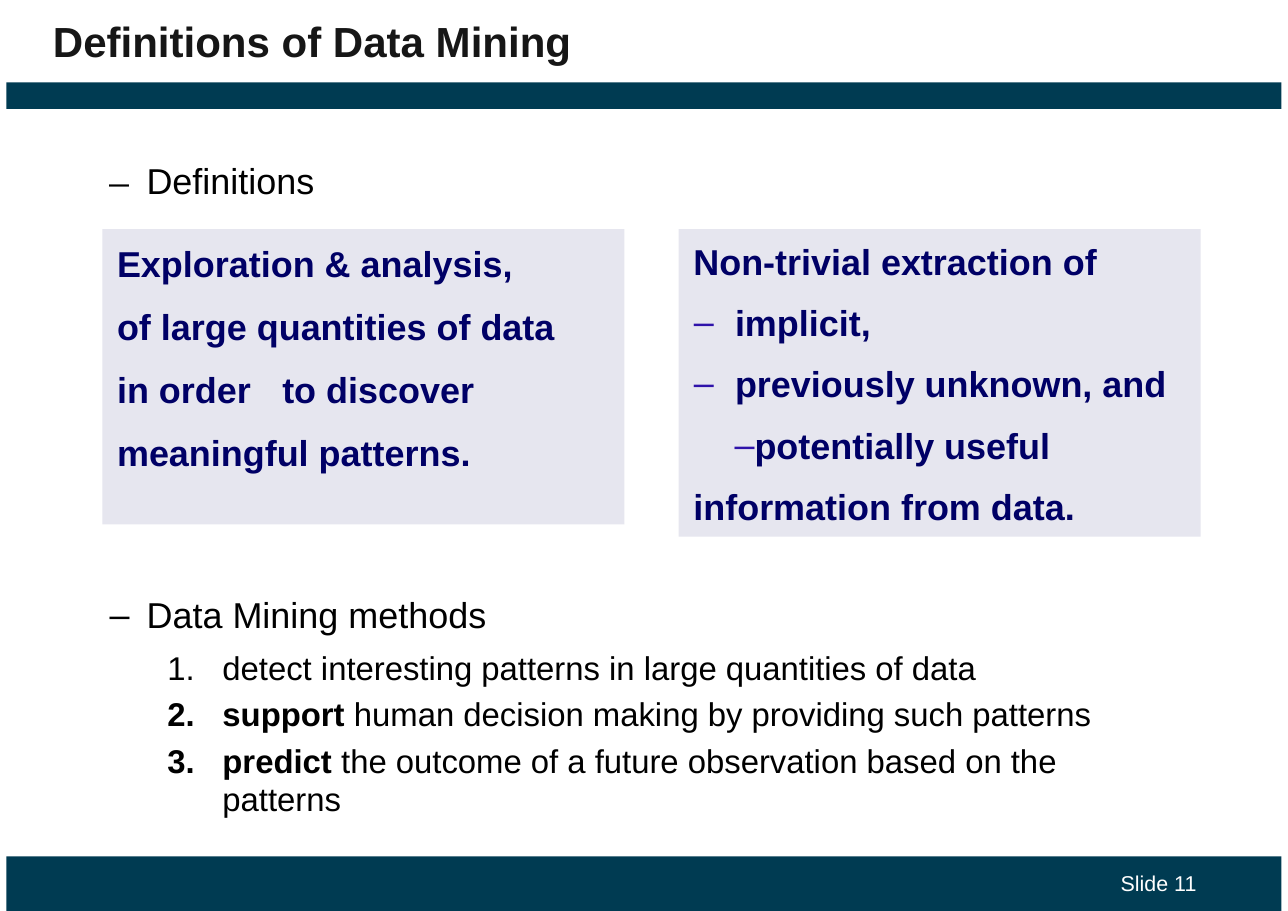
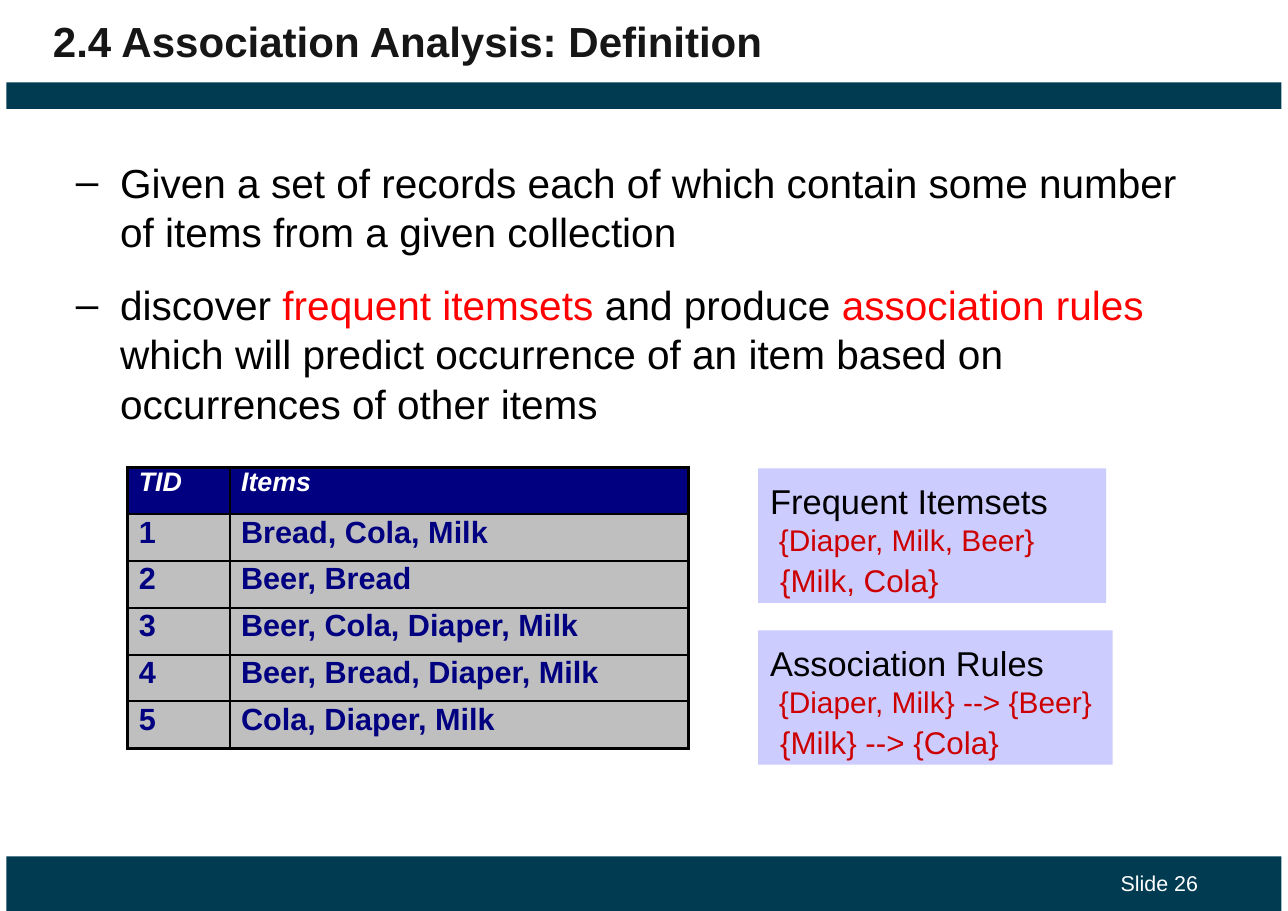
from dataclasses import dataclass, field

from lxml import etree
from pptx import Presentation
from pptx.dml.color import RGBColor
from pptx.enum.shapes import MSO_SHAPE
from pptx.enum.text import MSO_ANCHOR, MSO_AUTO_SIZE, PP_ALIGN
from pptx.oxml.ns import qn
from pptx.util import Cm, Pt

RECTANGLE = MSO_SHAPE.RECTANGLE
TOP = MSO_ANCHOR.TOP
NO_AUTOFIT = MSO_AUTO_SIZE.NONE
LEFT = PP_ALIGN.LEFT

BLACK = RGBColor(0x00, 0x00, 0x00)
WHITE = RGBColor(0xFF, 0xFF, 0xFF)
INK = RGBColor(0x16, 0x16, 0x16)
PETROL = RGBColor(0x00, 0x3B, 0x52)
MIDNIGHT = RGBColor(0x00, 0x00, 0x66)
NAVY = RGBColor(0x00, 0x00, 0x80)
VIOLET = RGBColor(0x2F, 0x13, 0xAA)
RED = RGBColor(0xFF, 0x00, 0x00)
CRIMSON = RGBColor(0xCC, 0x00, 0x00)
PALE_GREY = RGBColor(0xE6, 0xE6, 0xEF)
GREY = RGBColor(0xBF, 0xBF, 0xBF)
LAVENDER = RGBColor(0xCC, 0xCC, 0xFF)

FONT = "Arial"
DASH_FONT = "TeX Gyre Schola"
NUMBERED = "arabicPeriod"
OUTER_LINE = Pt(2.25)
INNER_LINE = Pt(1.5)


@dataclass
class Para:
    """Paragraph content; left, first and tab are lengths in centimetres."""
    spans: list
    left: float = 0
    first: float = 0
    bullet: str = ""
    bullet_font: str = FONT
    bullet_color: RGBColor = None
    tab: float = 0
    layout: dict = field(default_factory=dict)


def style(size, color, **extra):
    return {"name": FONT, "size": Pt(size), "color": color, **extra}


TITLE = style(27.5, INK, bold=True)
FOOTER = style(14, WHITE)
HEADING = style(23.5, BLACK)
ITEM = style(21.5, BLACK, bold=False)
STRONG_ITEM = {**ITEM, "bold": True}
QUOTE = style(23.5, MIDNIGHT, bold=True)
BODY = style(26.5, BLACK)
KEYWORD = {**BODY, "color": RED}
BOX_HEADING = style(22.5, BLACK)
TABLE_HEAD = style(17.5, WHITE, bold=True, italic=True)
TABLE_CELL = style(20, NAVY, bold=True, italic=False)


def set_all(target, values):
    for name, value in values.items():
        setattr(target, name, value)


def add_child(parent, tag, **attributes):
    child = etree.SubElement(parent, qn(tag))
    for name, value in attributes.items():
        child.set(name, str(value))
    return child


def add_bullet_and_tab(properties, para):
    if para.bullet_color is not None:
        color = add_child(properties, "a:buClr")
        add_child(color, "a:srgbClr", val=para.bullet_color)
    if para.bullet == NUMBERED:
        add_child(properties, "a:buAutoNum", type=NUMBERED)
    elif para.bullet:
        add_child(properties, "a:buFont", typeface=para.bullet_font)
        add_child(properties, "a:buChar", char=para.bullet)
    else:
        add_child(properties, "a:buNone")
    if para.tab:
        tabs = add_child(properties, "a:tabLst")
        add_child(tabs, "a:tab", pos=int(Cm(para.tab)), algn="l")


def write(frame, paras):
    for index, para in enumerate(paras):
        paragraph = frame.add_paragraph() if index else frame.paragraphs[0]
        properties = paragraph._p.get_or_add_pPr()
        properties.set("marL", str(int(Cm(para.left))))
        properties.set("indent", str(int(Cm(para.first))))
        add_bullet_and_tab(properties, para)
        set_all(paragraph, {"alignment": LEFT, "space_before": Pt(0),
                            "space_after": Pt(0), "line_spacing": 1.0,
                            **para.layout})
        for text, look in para.spans:
            span = paragraph.add_run()
            span.text = text
            set_all(span.font, {k: v for k, v in look.items() if k != "color"})
            span.font.color.rgb = look["color"]


def fill_frame(box, paras, left=0, top=0, right=0):
    frame = box.text_frame
    set_all(frame, {"word_wrap": True, "auto_size": NO_AUTOFIT,
                    "vertical_anchor": TOP, "margin_left": Cm(left),
                    "margin_top": Cm(top), "margin_right": Cm(right),
                    "margin_bottom": 0})
    write(frame, paras)


def add_panel(page, place, color):
    panel = page.shapes.add_shape(RECTANGLE, *map(Cm, place))
    panel.shadow.inherit = False
    panel.fill.solid()
    panel.fill.fore_color.rgb = color
    panel.line.fill.background()
    return panel


def add_text(page, place, paras, **insets):
    fill_frame(page.shapes.add_textbox(*map(Cm, place)), paras, **insets)


def fill_placeholder(box, place, paras, **insets):
    names = ("left", "top", "width", "height")
    set_all(box, dict(zip(names, map(Cm, place))))
    fill_frame(box, paras, **insets)


def add_page(deck, title, number):
    """Adds a page with the shared bands, title and page number."""
    page = deck.slides.add_slide(deck.slide_layouts[1])
    for top, height in ((19.74, 1.26), (1.9, 0.61)):
        add_panel(page, (0.15, top, 29.4, height), PETROL)
    fill_placeholder(page.shapes.title, (0.84, 0.25, 27.15, 1.4),
                     [Para([(title, TITLE)])], left=0.38, top=0.1)
    add_text(page, (25.81, 20.07, 1.96, 0.64),
             [Para([(f"Slide {number}", FOOTER)],
                   layout={"line_spacing": Pt(16.5)})], left=0.03)
    return page


def dash_heading(text, font=FONT):
    return Para([(text, HEADING)], left=0.89, first=-0.85, bullet="–",
                bullet_font=font)


def method(spans, before, **layout):
    return Para(spans, left=2.64, first=-1.27, bullet=NUMBERED,
                layout={"level": 1, "space_before": Pt(before), **layout})


def quality(text):
    return Para([(text, QUOTE)], left=1.3, first=-0.95, bullet="–",
                bullet_color=VIOLET, layout={"space_before": Pt(11.8)})


def add_border(cell, row, column, last_row, last_column):
    """Draws thick lines on the table's edge and thin lines inside."""
    properties = cell._tc.get_or_add_tcPr()
    edges = {"a:lnL": column == 0, "a:lnR": column == last_column,
             "a:lnT": row == 0, "a:lnB": row == last_row}
    for tag, outer in edges.items():
        width = OUTER_LINE if outer else INNER_LINE
        line = add_child(properties, tag, w=int(width))
        add_child(add_child(line, "a:solidFill"), "a:srgbClr", val=BLACK)


def add_grid(page, rows, left, top, widths, row_height):
    shape = page.shapes.add_table(len(rows), len(widths), Cm(left), Cm(top),
                                  Cm(sum(widths)), Cm(row_height * len(rows)))
    table = shape.table
    table.horz_banding = False
    for column, width in zip(table.columns, widths):
        column.width = Cm(width)
    for r, texts in enumerate(rows):
        table.rows[r].height = Cm(row_height)
        look, color, spacing = ((TABLE_CELL, GREY, Pt(23.2)) if r
                                else (TABLE_HEAD, NAVY, 1.0))
        for c, text in enumerate(texts):
            cell = table.cell(r, c)
            add_border(cell, r, c, len(rows) - 1, len(texts) - 1)
            cell.fill.solid()
            cell.fill.fore_color.rgb = color
            set_all(cell, {"margin_left": Cm(0.25), "margin_top": 0,
                           "margin_right": 0, "margin_bottom": 0})
            write(cell.text_frame,
                  [Para([(text, look)], layout={"line_spacing": spacing})])


def add_result_box(page, top, width, heading, first, second):
    box = add_panel(page, (17.48, top, width, 3.1), LAVENDER)
    fill_frame(box, [
        Para([(heading, BOX_HEADING)], left=0.28),
        Para([(first, style(19.5, CRIMSON))], left=0.48,
             layout={"space_before": Pt(0.5)}),
        Para([(second, style(20.5, CRIMSON))], left=0.51,
             layout={"space_before": Pt(2.2)}),
    ], top=0.26)


def build_definitions(deck):
    page = add_page(deck, "Definitions of Data Mining", 11)
    add_text(page, (2.49, 3.56, 4.83, 1.07),
             [dash_heading("Definitions", DASH_FONT)], top=0.1)
    fill_placeholder(page.placeholders[1], (2.49, 13.06, 23.09, 5.51), [
        dash_heading("Data Mining methods"),
        method([("detect interesting patterns in large quantities of data",
                 ITEM)], 7.2),
        method([("support ", STRONG_ITEM),
                ("human decision making by providing such patterns", ITEM)],
               4.3),
        method([("predict ", STRONG_ITEM),
                ("the outcome of a future observation based on the patterns",
                 ITEM)], 6, line_spacing=Pt(24.8)),
    ], top=0.61)
    extraction = add_panel(page, (15.65, 5.28, 12.04, 7.09), PALE_GREY)
    fill_frame(extraction, [
        Para([("Non-trivial extraction of", QUOTE)], left=0.34),
        quality("implicit,"),
        quality("previously unknown, and"),
        Para([("potentially useful information from data.", QUOTE)],
             left=0.34, first=0.95, bullet="–", bullet_color=VIOLET, tab=1.3,
             layout={"line_spacing": 1.42}),
    ], top=0.24)
    exploration = add_panel(page, (2.36, 5.28, 12.04, 6.81), PALE_GREY)
    fill_frame(exploration, [
        Para([("Exploration & analysis,", QUOTE)], left=0.34),
        Para([("of large quantities of data in order\tto discover "
               "meaningful patterns.", QUOTE)], left=0.34, tab=3.94,
             layout={"line_spacing": 1.46}),
    ], top=0.3, right=1.2)


def build_association(deck):
    page = add_page(deck, "2.4 Association Analysis: Definition", 26)
    dash = {"left": 1.07, "first": -1.02, "bullet": "–"}
    fill_placeholder(page.placeholders[1], (1.7, 3.56, 25.7, 6.3), [
        Para([("Given a set of records each of which contain some number "
               "of items from a given collection", BODY)], **dash,
             layout={"line_spacing": 1.01}),
        Para([("discover ", BODY), ("frequent itemsets ", KEYWORD),
              ("and produce ", BODY), ("association rules ", KEYWORD),
              ("which will predict occurrence of an item based on "
               "occurrences of other items", BODY)], **dash,
             layout={"line_spacing": 1.01, "space_before": Pt(15.9)}),
    ], top=0.06)
    baskets = ["Bread, Cola, Milk", "Beer, Bread", "Beer, Cola, Diaper, Milk",
               "Beer, Bread, Diaper, Milk", "Cola, Diaper, Milk"]
    rows = [("TID", "Items")]
    rows += [(str(tid), items) for tid, items in enumerate(baskets, 1)]
    add_grid(page, rows, 2.95, 10.77, (2.36, 10.57), 1.08)
    add_result_box(page, 14.53, 8.18, "Association Rules",
                   "{Diaper, Milk} --> {Beer}", "{Milk} --> {Cola}")
    add_result_box(page, 10.8, 8.03, "Frequent Itemsets",
                   "{Diaper, Milk, Beer}", "{Milk, Cola}")


def main():
    deck = Presentation()
    deck.slide_width, deck.slide_height = Cm(29.7), Cm(21)
    build_definitions(deck)
    build_association(deck)
    deck.save("out.pptx")


if __name__ == "__main__":
    main()
